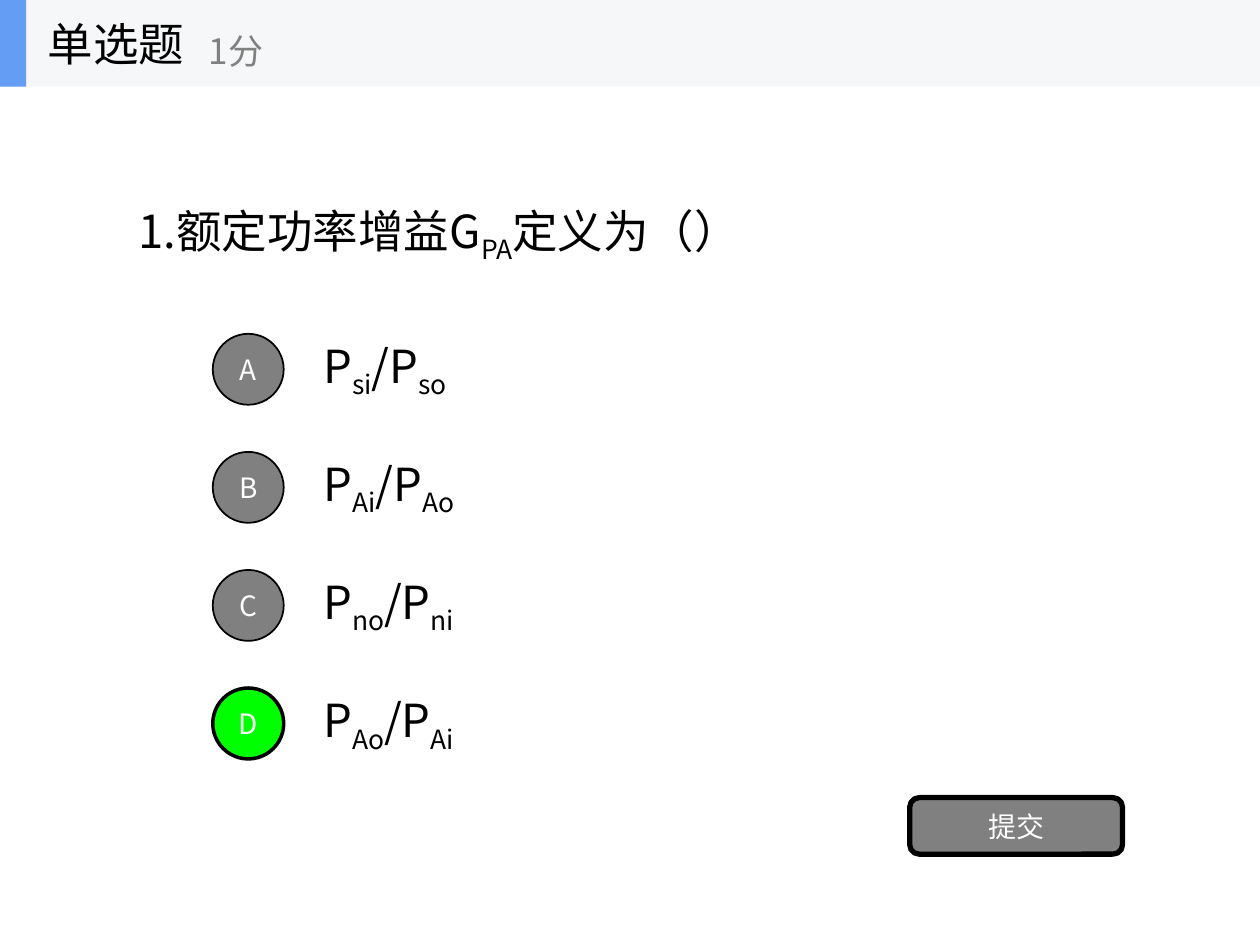
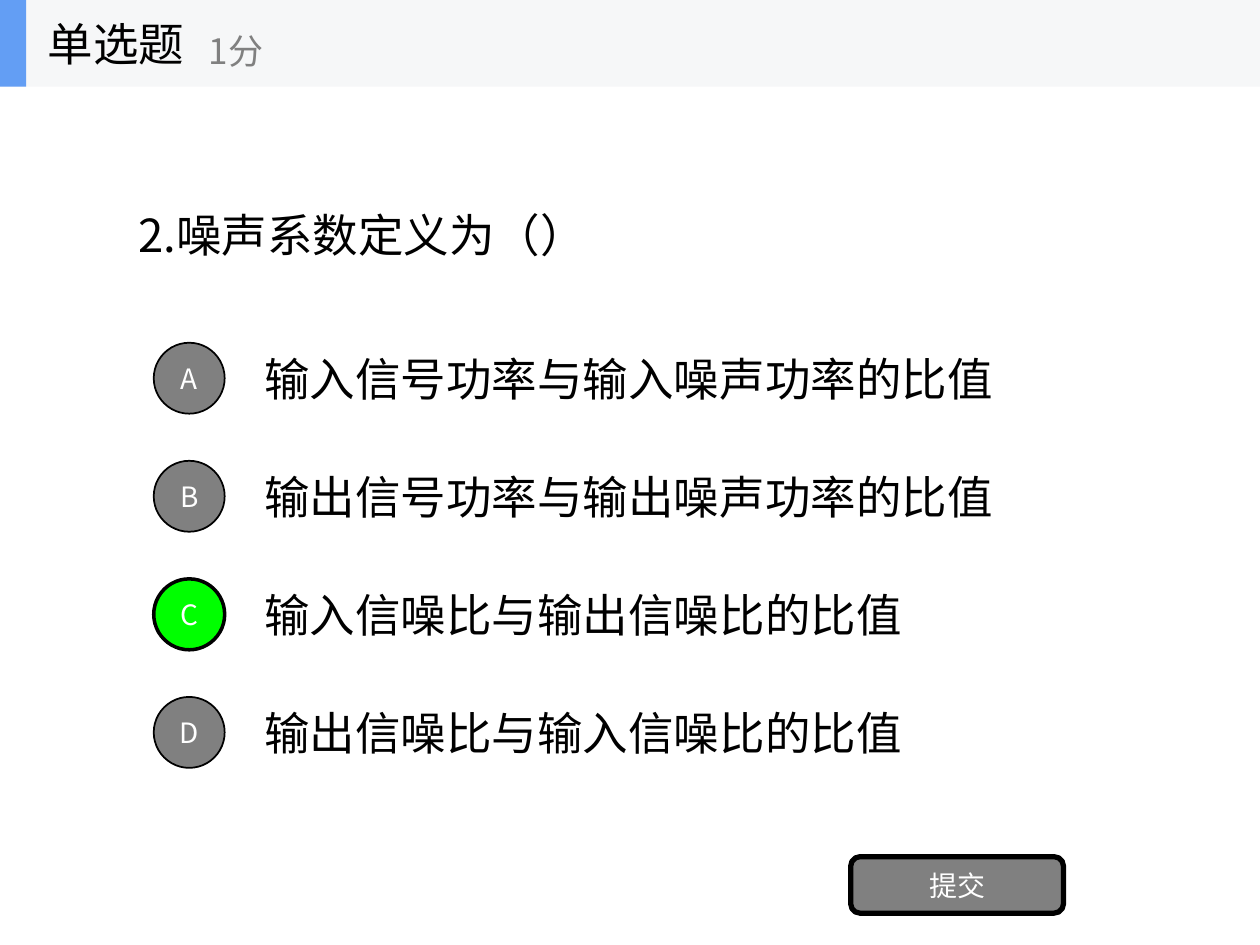
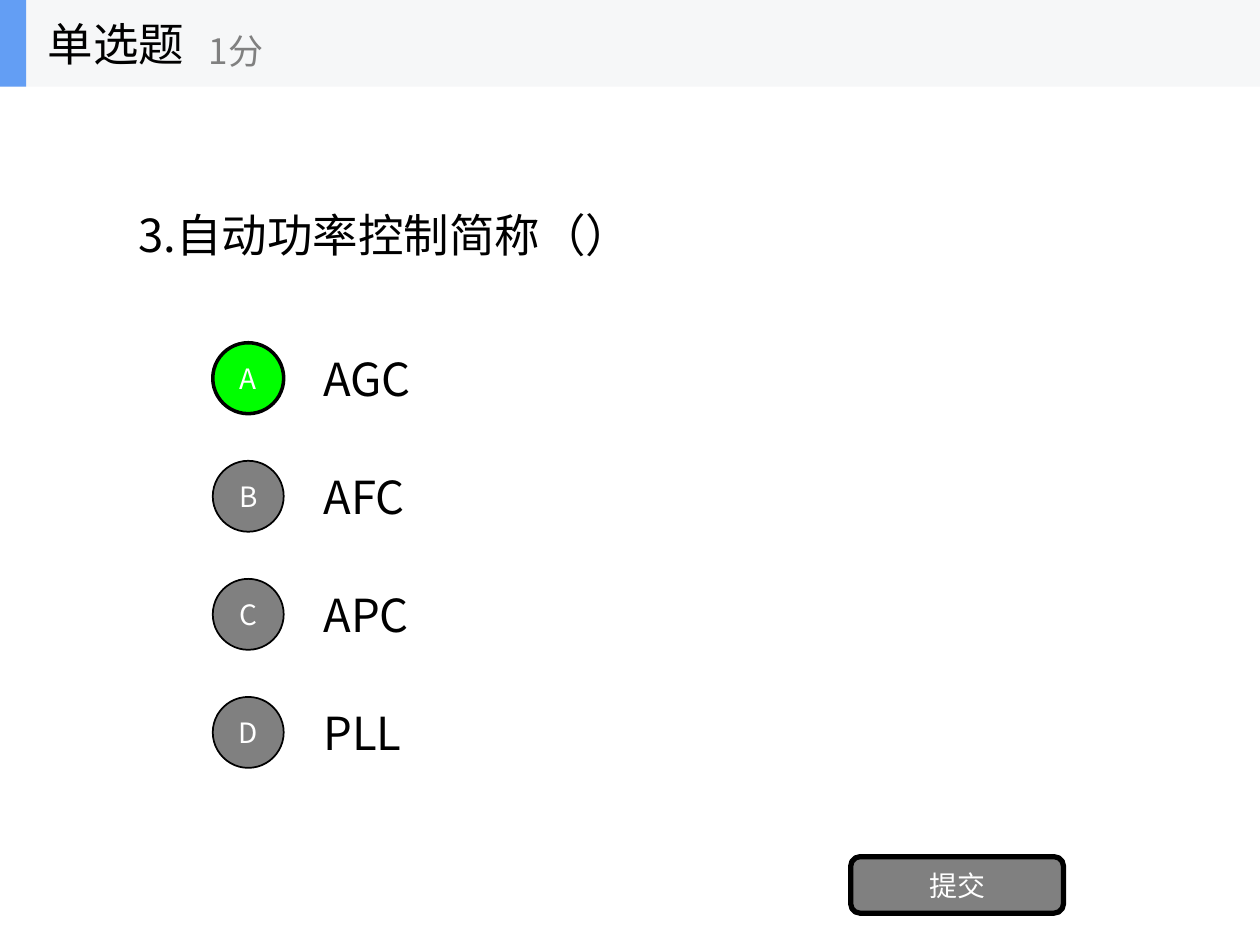
from lxml import etree
from pptx import Presentation
from pptx.dml.color import RGBColor
from pptx.enum.shapes import MSO_SHAPE
from pptx.enum.text import MSO_ANCHOR, PP_ALIGN
from pptx.oxml.ns import qn
from pptx.util import Cm, Pt

BLACK = RGBColor(0x00, 0x00, 0x00)
WHITE = RGBColor(0xFF, 0xFF, 0xFF)
GRAY = RGBColor(0x80, 0x80, 0x80)
GREEN = RGBColor(0x00, 0xFF, 0x00)
BLUE = RGBColor(0x63, 0x9E, 0xF4)
PALE = RGBColor(0xF6, 0xF7, 0xF8)

RECTANGLE = MSO_SHAPE.RECTANGLE
ROUNDED = MSO_SHAPE.ROUNDED_RECTANGLE
OVAL = MSO_SHAPE.OVAL
MIDDLE = MSO_ANCHOR.MIDDLE
CENTER = PP_ALIGN.CENTER
LEFT = PP_ALIGN.LEFT

FONT = "Noto Sans CJK SC"
WIDTH, HEIGHT = 25.4, 19.05
HEADER_HEIGHT = 1.75
OPTION_STEP = 2.38
BADGE_SIZE = 1.43

QUESTIONS = [
    {
        "stem": ("1.额定功率增益G", "PA", "定义为（）"),
        "options": [
            ("P", "si", "/P", "so"),
            ("P", "Ai", "/P", "Ao"),
            ("P", "no", "/P", "ni"),
            ("P", "Ao", "/P", "Ai"),
        ],
        "answer": "D",
        "options_at": (6.27, 6.55),
        "submit_at": (18.34, 16.08),
    },
    {
        "stem": ("2.噪声系数定义为（）",),
        "options": [
            ("输入信号功率与输入噪声功率的比值",),
            ("输出信号功率与输出噪声功率的比值",),
            ("输入信噪比与输出信噪比的比值",),
            ("输出信噪比与输入信噪比的比值",),
        ],
        "answer": "C",
        "options_at": (5.08, 6.73),
        "submit_at": (17.15, 17.27),
    },
    {
        "stem": ("3.自动功率控制简称（）",),
        "options": [("AGC",), ("AFC",), ("APC",), ("PLL",)],
        "answer": "A",
        "options_at": (6.27, 6.73),
        "submit_at": (17.15, 17.27),
    },
]


class QuizDeck:
    def __init__(self):
        self.presentation = Presentation()
        self.presentation.slide_width = Cm(WIDTH)
        self.presentation.slide_height = Cm(HEIGHT)
        self.slide = None

    def new_slide(self):
        self.slide = self.presentation.slides.add_slide(self.presentation.slide_layouts[6])

    def fill_text(self, frame, parts, size, color, align=LEFT):
        frame.word_wrap = True
        frame.vertical_anchor = MIDDLE
        paragraph = frame.paragraphs[0]
        paragraph.alignment = align
        for index, part in enumerate(parts):
            run = paragraph.add_run()
            run.text = part
            run.font.size = Pt(size)
            run.font.name = FONT
            run.font.color.rgb = color
            properties = run.font._element
            etree.SubElement(properties, qn("a:ea")).set("typeface", FONT)
            if index % 2:
                properties.set("baseline", "-25000")

    def text(self, left, top, width, height, parts, size=26, color=BLACK, parent=None):
        box = (parent or self.slide).shapes.add_textbox(Cm(left), Cm(top), Cm(width), Cm(height))
        self.fill_text(box.text_frame, parts, size, color)

    def shape(self, kind, left, top, width, height, fill, line_width=0, parent=None):
        shape = (parent or self.slide).shapes.add_shape(
            kind, Cm(left), Cm(top), Cm(width), Cm(height))
        shape.shadow.inherit = False
        shape.fill.solid()
        shape.fill.fore_color.rgb = fill
        if line_width:
            shape.line.color.rgb = BLACK
            shape.line.width = Pt(line_width)
        else:
            shape.line.fill.background()
        return shape

    def button(self, kind, left, top, width, height, label, fill, line_width):
        button = self.shape(kind, left, top, width, height, fill, line_width)
        frame = button.text_frame
        frame.margin_left = frame.margin_right = frame.margin_top = frame.margin_bottom = 0
        self.fill_text(frame, (label,), 16, WHITE, CENTER)

    def header(self):
        header = self.slide.shapes.add_group_shape()
        self.shape(RECTANGLE, 0, 0, WIDTH, HEADER_HEIGHT, PALE, parent=header)
        self.shape(RECTANGLE, 0, 0, 0.53, HEADER_HEIGHT, BLUE, parent=header)
        self.text(0.71, 0, 5.28, HEADER_HEIGHT, ("单选题",), parent=header)
        self.text(3.96, 0.3, 6.35, 1.43, ("1分",), 20, GRAY, parent=header)

    def option(self, left, top, letter, parts, correct):
        self.text(left, top, 17.78, 1.78, parts)
        fill, line_width = (GREEN, 2) if correct else (GRAY, 1)
        self.button(OVAL, left - 1.98, top + 0.18, BADGE_SIZE, BADGE_SIZE,
                    letter, fill, line_width)

    def question(self, stem, options, answer, options_at, submit_at):
        self.new_slide()
        self.text(2.54, HEADER_HEIGHT, 20.32, 5.94, stem)
        left, top = options_at
        for row, (letter, parts) in enumerate(zip("ABCD", options)):
            self.option(left, top + row * OPTION_STEP, letter, parts, letter == answer)
        self.button(ROUNDED, *submit_at, 4.29, 1.14, "提交", GRAY, 3)
        self.header()


def main():
    deck = QuizDeck()
    for question in QUESTIONS:
        deck.question(**question)
    deck.presentation.save("out.pptx")


if __name__ == "__main__":
    main()
